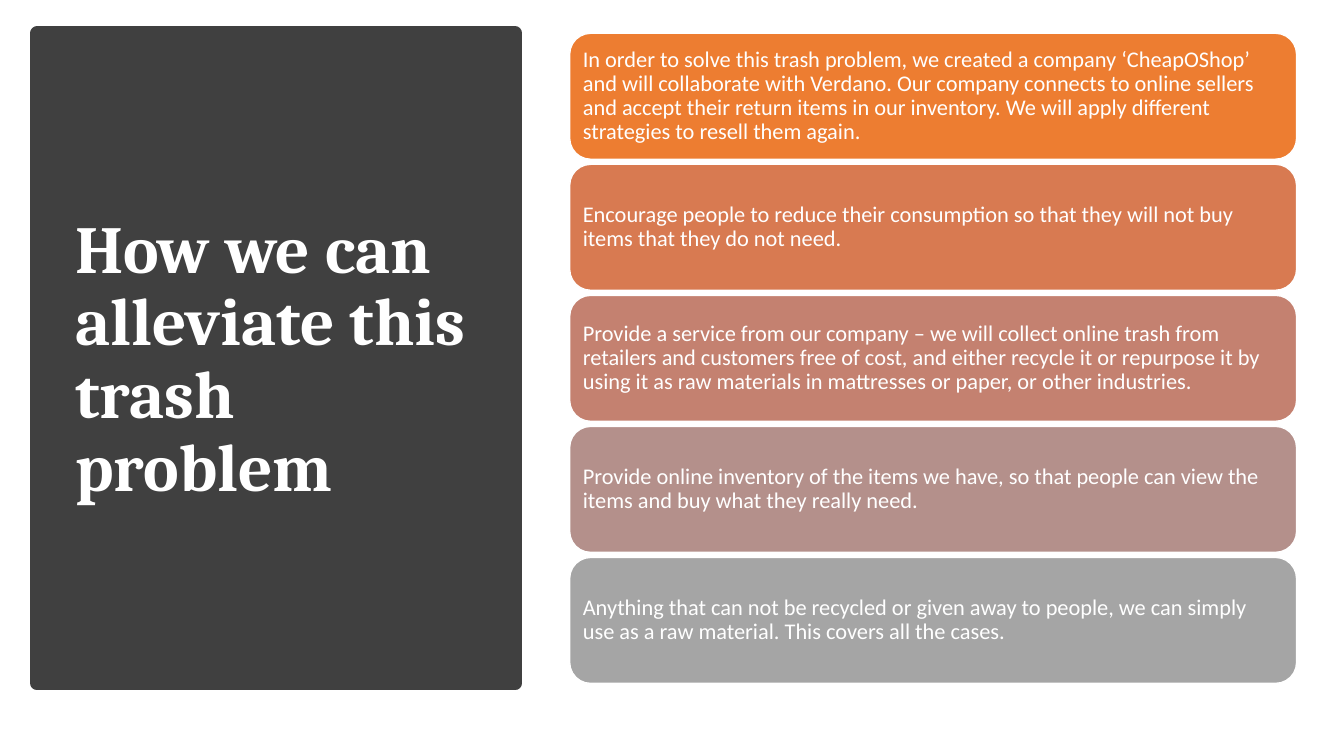
from dataclasses import dataclass

from pptx import Presentation
from pptx.dml.color import RGBColor
from pptx.enum.shapes import MSO_SHAPE as Shape
from pptx.enum.text import MSO_ANCHOR as Anchor, PP_ALIGN as Align
from pptx.util import Inches, Pt


@dataclass(frozen=True)
class Theme:
    panel: str = "404040"
    light: str = "FFFFFF"
    title_font: str = "Cambria"
    body_font: str = "Calibri"
    title_size: int = 48
    body_size: int = 16
    panel_line: int = 10
    card_line: int = 1
    line_spacing: float = 0.9


THEME = Theme()

TITLE = "How we can alleviate this trash problem"
STRATEGIES = [
    ("ED7D31", "In order to solve this trash problem, we created a company ‘CheapOShop’ "
               "and will collaborate with Verdano. Our company connects to online sellers "
               "and accept their return items in our inventory. We will apply different "
               "strategies to resell them again."),
    ("D87A51", "Encourage people to reduce their consumption so that they will not buy "
               "items that they do not need."),
    ("C48170", "Provide a service from our company – we will collect online trash from "
               "retailers and customers free of cost, and either recycle it or repurpose "
               "it by using it as raw materials in mattresses or paper, or other industries."),
    ("B4908B", "Provide online inventory of the items we have, so that people can view "
               "the items and buy what they really need."),
    ("A5A5A5", "Anything that can not be recycled or given away to people, we can simply "
               "use as a raw material. This covers all the cases."),
]


def add_block(slide, kind, box, fill, line, line_width):
    shape = slide.shapes.add_shape(kind, *map(Inches, box))
    shape.shadow.inherit = False
    shape.fill.solid()
    shape.fill.fore_color.rgb = RGBColor.from_string(fill)
    shape.line.color.rgb = RGBColor.from_string(line)
    shape.line.width = Pt(line_width)
    return shape


def write_text(shape, text, font_name, size, bold=False):
    """Set one left-aligned, vertically centred paragraph in light type."""
    frame = shape.text_frame
    frame.text = text
    frame.word_wrap = True
    frame.vertical_anchor = Anchor.MIDDLE
    paragraph = frame.paragraphs[0]
    paragraph.alignment = Align.LEFT
    paragraph.line_spacing = THEME.line_spacing
    font = paragraph.runs[0].font
    font.name = font_name
    font.size = Pt(size)
    font.bold = bold
    font.color.rgb = RGBColor.from_string(THEME.light)


def add_title_panel(slide, box):
    left, top, width, height = box
    add_block(slide, Shape.RECTANGLE, box, THEME.panel, THEME.panel, THEME.panel_line)
    title_box = (left + 0.28, top + 0.37, width - 0.58, height - 0.7)
    title = slide.shapes.add_textbox(*map(Inches, title_box))
    write_text(title, TITLE, THEME.title_font, THEME.title_size, bold=True)


def add_strategy_cards(slide, box, gap=0.05):
    """Stack one card per strategy, equally high, to fill the box."""
    left, top, width, height = box
    pitch = (height + gap) / len(STRATEGIES)
    for index, (color, text) in enumerate(STRATEGIES):
        card_box = (left, top + index * pitch, width, pitch - gap)
        card = add_block(slide, Shape.ROUNDED_RECTANGLE, card_box,
                         color, THEME.light, THEME.card_line)
        write_text(card, text, THEME.body_font, THEME.body_size)
        frame = card.text_frame
        frame.margin_left = frame.margin_right = Inches(0.07)
        frame.margin_top = frame.margin_bottom = Inches(0.07)


def main():
    presentation = Presentation()
    presentation.slide_width = Inches(13.33)
    presentation.slide_height = Inches(7.5)
    slide = presentation.slides.add_slide(presentation.slide_layouts[6])
    add_title_panel(slide, (0.37, 0.33, 4.74, 6.45))
    add_strategy_cards(slide, (5.65, 0.33, 7.21, 6.45))
    presentation.save("out.pptx")


if __name__ == "__main__":
    main()
